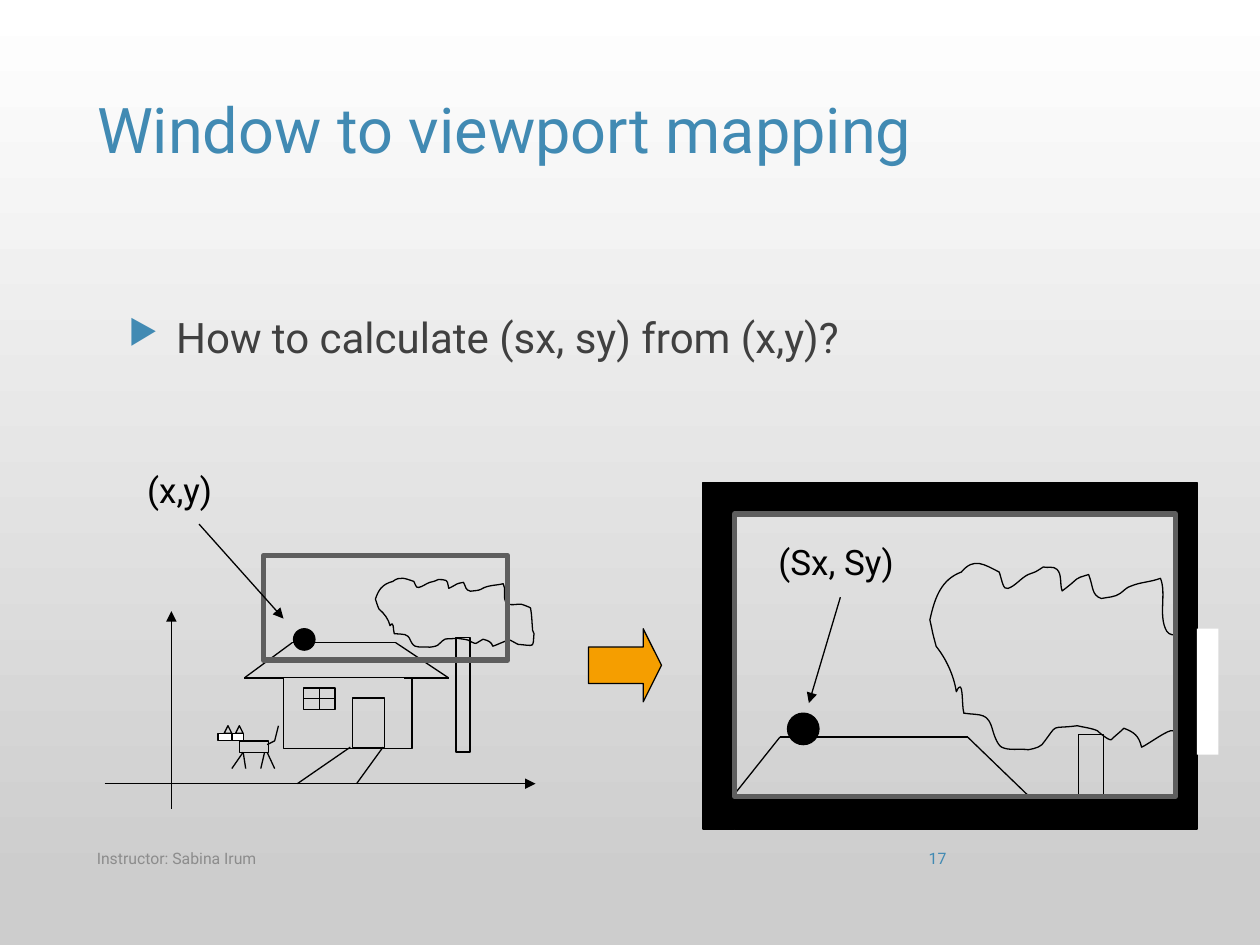
from dataclasses import dataclass

from lxml import etree
from pptx import Presentation
from pptx.dml.color import RGBColor
from pptx.enum.shapes import MSO_CONNECTOR, MSO_SHAPE
from pptx.enum.text import MSO_ANCHOR, MSO_AUTO_SIZE, PP_ALIGN
from pptx.oxml.ns import qn
from pptx.util import Inches, Pt

RECT, OVAL, TRIANGLE = MSO_SHAPE.RECTANGLE, MSO_SHAPE.OVAL, MSO_SHAPE.ISOSCELES_TRIANGLE
RIGHT_ARROW, STRAIGHT = MSO_SHAPE.RIGHT_ARROW, MSO_CONNECTOR.STRAIGHT
TOP, MIDDLE = MSO_ANCHOR.TOP, MSO_ANCHOR.MIDDLE
LEFT, RIGHT = PP_ALIGN.LEFT, PP_ALIGN.RIGHT
FIT_SHAPE, NO_FIT = MSO_AUTO_SIZE.SHAPE_TO_FIT_TEXT, MSO_AUTO_SIZE.NONE


@dataclass(frozen=True)
class Theme:
    """Fonts, colours, type sizes and line widths of the slide."""
    font: str = "Roboto"
    accent: str = "418AB3"
    body: str = "404040"
    muted: str = "8C8C8C"
    ink: str = "000000"
    white: str = "FFFFFF"
    shade: str = "CDCDCD"
    frame: str = "5E5E5E"
    arrow: str = "F59E00"
    title_size: float = 36
    body_size: float = 24
    label_size: float = 20
    small_size: float = 9
    thin: float = 0.75
    thick: float = 3


T = Theme()
CLOUD_W, CLOUD_H = 229, 154
CLOUD = [
    (21, 107), (19, 94), (13, 81), (5, 71), (1, 56), (3, 63), (0, 50), (4, 32), (9, 18), (25, 12),
    (35, 0), (43, 6), (55, 12), (57, 17), (58, 27), (62, 25), (68, 23), (72, 17), (78, 14),
    (86, 11), (82, 13), (90, 8), (94, 9), (98, 7), (101, 10), (105, 14), (103, 22), (105, 27),
    (121, 15), (113, 18), (126, 14), (130, 24), (128, 30), (136, 33), (141, 32), (147, 32),
    (151, 29), (154, 27), (156, 24), (160, 23), (167, 20), (175, 20), (183, 17), (188, 29),
    (181, 47), (188, 59), (192, 65), (202, 60), (209, 61), (209, 61), (221, 67), (222, 69),
    (224, 85), (224, 101), (225, 117), (225, 120), (226, 122), (227, 124), (225, 155),
    (229, 150), (204, 147), (200, 144), (197, 141), (193, 138), (190, 136), (173, 149),
    (168, 151), (166, 142), (162, 139), (154, 136), (151, 139), (147, 142), (144, 145),
    (142, 146), (134, 139), (133, 138), (129, 136), (121, 135), (117, 134), (94, 137),
    (103, 131), (89, 149), (86, 152), (78, 153), (78, 153), (71, 152), (63, 154), (57, 151),
    (53, 149), (50, 138), (50, 138), (46, 123), (41, 126), (27, 124), (25, 117), (27, 94),
    (21, 107),
]


def rgb(color):
    """Turn a hex string into a colour."""
    return RGBColor.from_string(color)


def style_text(tf, text, size, color, align=LEFT, anchor=TOP):
    """Fill a text frame with one formatted paragraph and return it."""
    tf.text = text
    tf.vertical_anchor = anchor
    p = tf.paragraphs[0]
    p.alignment = align
    font = p.runs[0].font
    font.name, font.size, font.color.rgb = T.font, Pt(size), rgb(color)
    return p


class Region:
    """Draws parts relative to the top-left corner of a box."""

    def __init__(self, shapes, left, top):
        """Open a group at the given place in inches."""
        self.shapes = shapes.add_group_shape().shapes
        self.left, self.top = left, top

    def at(self, x, y):
        """Convert a local point to slide lengths."""
        return Inches(self.left + x), Inches(self.top + y)

    def inner(self, x, y):
        """Open a nested region."""
        return Region(self.shapes, self.left + x, self.top + y)

    def paint(self, sp, fill, line, width):
        """Set the fill and outline of a shape."""
        sp.shadow.inherit = False
        if fill:
            sp.fill.solid()
            sp.fill.fore_color.rgb = rgb(fill)
        else:
            sp.fill.background()
        if line:
            sp.line.color.rgb, sp.line.width = rgb(line), Pt(width)
        else:
            sp.line.fill.background()
        return sp

    def shape(self, x, y, w, h, kind=RECT, fill=None, line=T.ink, width=T.thin):
        """Add a preset shape."""
        sp = self.shapes.add_shape(kind, *self.at(x, y), Inches(w), Inches(h))
        return self.paint(sp, fill, line, width)

    def line(self, start, end, arrow=False):
        """Add a straight line, with an optional arrowhead at its end."""
        cn = self.shapes.add_connector(STRAIGHT, *self.at(*start), *self.at(*end))
        cn.line.color.rgb, cn.line.width = rgb(T.ink), Pt(T.thin)
        if arrow:
            etree.SubElement(cn.line._get_or_add_ln(), qn("a:tailEnd"), type="triangle")
        etree.SubElement(cn._element.spPr, qn("a:effectLst"))
        return cn

    def lines(self, *pairs):
        """Add several plain lines."""
        for start, end in pairs:
            self.line(start, end)

    def cloud(self, x, y, w, h):
        """Add the curved cloud outline scaled to a box."""
        pts = [self.at(x + px * w / CLOUD_W, y + py * h / CLOUD_H) for px, py in CLOUD]
        builder = self.shapes.build_freeform(*pts[0])
        builder.add_line_segments(pts[1:], close=True)
        sp = self.paint(builder.convert_to_shape(), None, T.ink, T.thin)
        segments = sp._element.xpath(".//a:lnTo")
        for i in range(0, len(CLOUD) - 1, 3):
            curve = etree.Element(qn("a:cubicBezTo"))
            segments[i].addprevious(curve)
            for segment in segments[i:i + 3]:
                curve.append(segment[0])
                segment.getparent().remove(segment)

    def label(self, x, y, w, text):
        """Add an unwrapped point label."""
        tf = self.shapes.add_textbox(*self.at(x, y), Inches(w), Inches(0.43)).text_frame
        tf.word_wrap, tf.auto_size = False, FIT_SHAPE
        style_text(tf, text, T.label_size, T.ink)


def draw_house(house):
    """Draw the house with roof, window, door and footpath."""
    house.shape(0.31, 0.28, 1.02, 0.56)
    house.lines(((0.31, 0.28), (0, 0.28)), ((1.62, 0.28), (1.27, 0.28)),
                ((0, 0.28), (0.38, 0)), ((0.38, 0), (1.2, 0)), ((1.2, 0), (1.62, 0.28)),
                ((0.84, 0.83), (0.42, 1.12)), ((1.1, 0.83), (0.89, 1.12)))
    pane = house.shape(0.47, 0.36, 0.25, 0.17)
    for begin, end in ((1, 3), (0, 2)):
        bar = house.line((0.47, 0.36), (0.72, 0.53))
        bar.begin_connect(pane, begin)
        bar.end_connect(pane, end)
    house.shape(0.86, 0.44, 0.25, 0.39)


def draw_dog(dog):
    """Draw the dog with head, ears, legs and tail."""
    dog.shape(0.17, 0.12, 0.23, 0.09)
    for x, w in ((0, 0.11), (0.11, 0.09)):
        dog.shape(x, 0.06, w, 0.06, fill=T.white)
    for x in (0.05, 0.14):
        dog.shape(x, 0, 0.06, 0.06, TRIANGLE)
    for hip, foot in ((0.2, 0.11), (0.2, 0.22), (0.37, 0.34), (0.39, 0.45)):
        dog.line((hip, 0.21), (foot, 0.34))
    dog.lines(((0.39, 0.15), (0.45, 0.12)), ((0.45, 0.12), (0.48, 0)))


def draw_world(world):
    """Draw the world scene with its axes, window and point."""
    world.line((0, 2.55), (3.42, 2.55), arrow=True)
    world.line((0.53, 2.75), (0.53, 1.18), arrow=True)
    draw_house(world.inner(1.11, 1.43))
    world.shape(2.79, 1.39, 0.11, 0.91)
    world.cloud(2.15, 0.9, 1.27, 0.57)
    draw_dog(world.inner(0.9, 2.09))
    world.shape(1.26, 0.74, 1.94, 0.83, line=T.frame, width=T.thick)
    world.shape(1.5, 1.32, 0.17, 0.17, OVAL, T.ink)
    world.label(0.24, 0, 0.77, "(x,y)")
    world.line((0.75, 0.49), (1.42, 1.24), arrow=True)


def draw_screen(screen):
    """Draw the screen with the viewport and the mapped point."""
    for bar in ((3.75, 0.16, 0.17, 2.5), (0.25, 2.5, 3.67, 0.25),
                (0, 0.25, 0.25, 2.5), (0, 0, 3.92, 0.25)):
        screen.shape(*bar, fill=T.ink)
    screen.lines(((0.26, 2.46), (0.61, 2.02)), ((0.61, 2.02), (2.1, 2.02)),
                 ((2.1, 2.02), (2.68, 2.58)))
    screen.shape(2.98, 2, 0.2, 0.55)
    screen.cloud(1.8, 0.59, 2.29, 1.54)
    screen.shape(3.75, 0.66, 0.17, 1.83, fill=T.ink, line=None)
    screen.shape(0.25, 0.25, 3.5, 2.24, line=T.frame, width=T.thick)
    screen.shape(3.92, 1.16, 0.17, 1, fill=T.white, line=None)
    screen.shape(0.67, 1.83, 0.25, 0.25, OVAL, T.ink)
    screen.label(0.5, 0.41, 1.17, "(Sx, Sy)")
    screen.line((1.09, 0.91), (0.84, 1.75), arrow=True)


def draw_background(slide):
    """Fill the background with a vertical gradient."""
    fill = slide.background.fill
    fill.gradient()
    fill.gradient_angle = 270
    for stop, position, color in zip(fill.gradient_stops, (0, 0.94), (T.white, T.shade)):
        stop.position, stop.color.rgb = position, rgb(color)


def add_title(slide, left, top, width, height):
    """Place and format the title placeholder."""
    sp = slide.shapes.title
    sp.left, sp.top, sp.width, sp.height = map(Inches, (left, top, width, height))
    sp.text_frame.auto_size = NO_FIT
    style_text(sp.text_frame, "Window to viewport mapping", T.title_size, T.accent)


def add_text(slide, box, text, size, color, align=LEFT, anchor=TOP):
    """Add a wrapped text box and return its paragraph."""
    tf = slide.shapes.add_textbox(*map(Inches, box)).text_frame
    tf.word_wrap = True
    return style_text(tf, text, size, color, align, anchor)


def add_question(slide, box):
    """Add the bulleted question."""
    p = add_text(slide, box, "How to calculate (sx, sy) from (x,y)?", T.body_size, T.body)
    p.space_before = Pt(10)
    pPr = p._p.get_or_add_pPr()
    pPr.set("marL", str(Inches(0.38)))
    pPr.set("indent", str(-Inches(0.38)))
    color = etree.SubElement(pPr, qn("a:buClr"))
    etree.SubElement(color, qn("a:srgbClr"), val=T.accent)
    etree.SubElement(pPr, qn("a:buSzPct"), val="80000")
    etree.SubElement(pPr, qn("a:buChar"), char="▶")


def main():
    """Build the slide and save it."""
    prs = Presentation()
    prs.slide_width, prs.slide_height = Inches(10), Inches(7.5)
    slide = prs.slides.add_slide(prs.slide_layouts[5])
    draw_background(slide)
    add_title(slide, 0.67, 0.67, 6.94, 1.44)
    add_question(slide, (0.92, 2.42, 8.5, 4.5))
    add_text(slide, (7.05, 6.61, 0.56, 0.4), "17", T.small_size, T.accent, RIGHT, MIDDLE)
    draw_world(Region(slide.shapes, 0.83, 3.67))
    draw_screen(Region(slide.shapes, 5.58, 3.83))
    arrow = Region(slide.shapes, 4.67, 4.99).shape(0, 0, 0.58, 0.58, RIGHT_ARROW, T.arrow)
    arrow.adjustments[1] = 0.25
    add_text(slide, (0.67, 6.61, 5.06, 0.4), "Instructor: Sabina Irum",
             T.small_size, T.muted, anchor=MIDDLE)
    prs.save("out.pptx")


if __name__ == "__main__":
    main()
